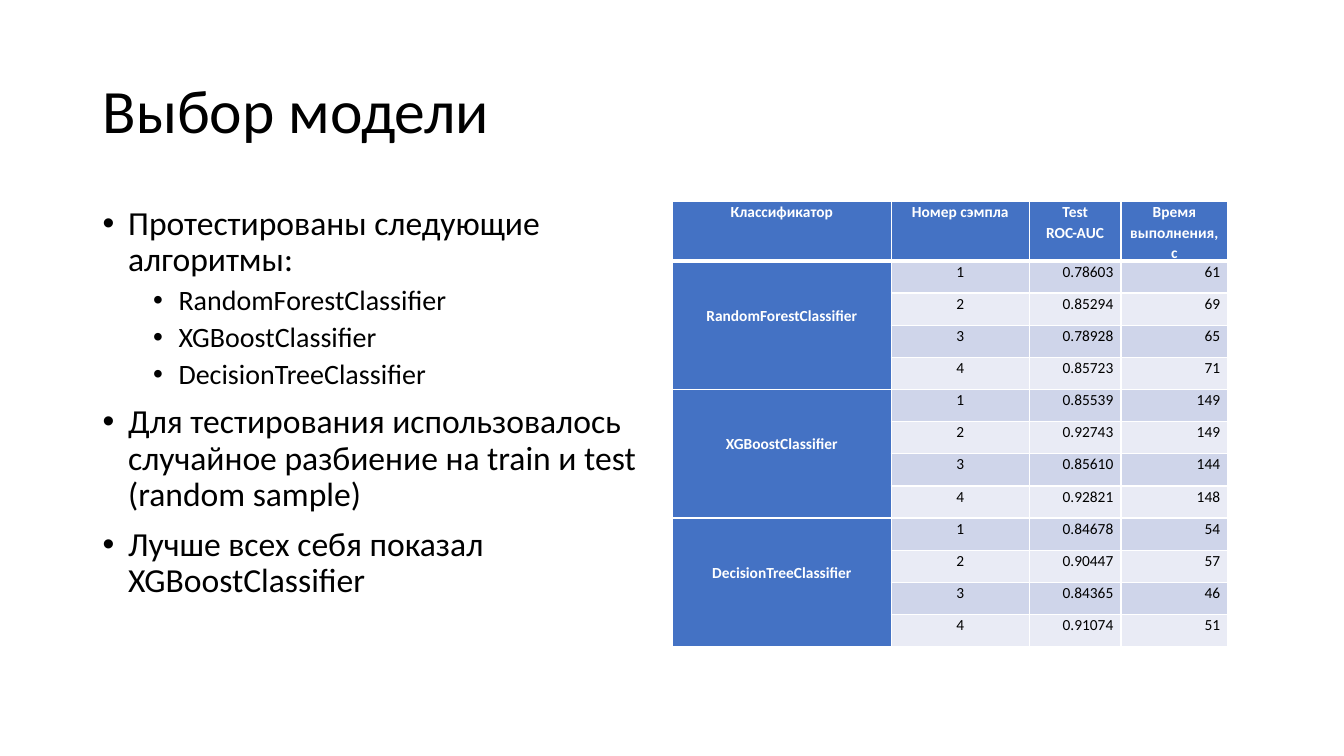
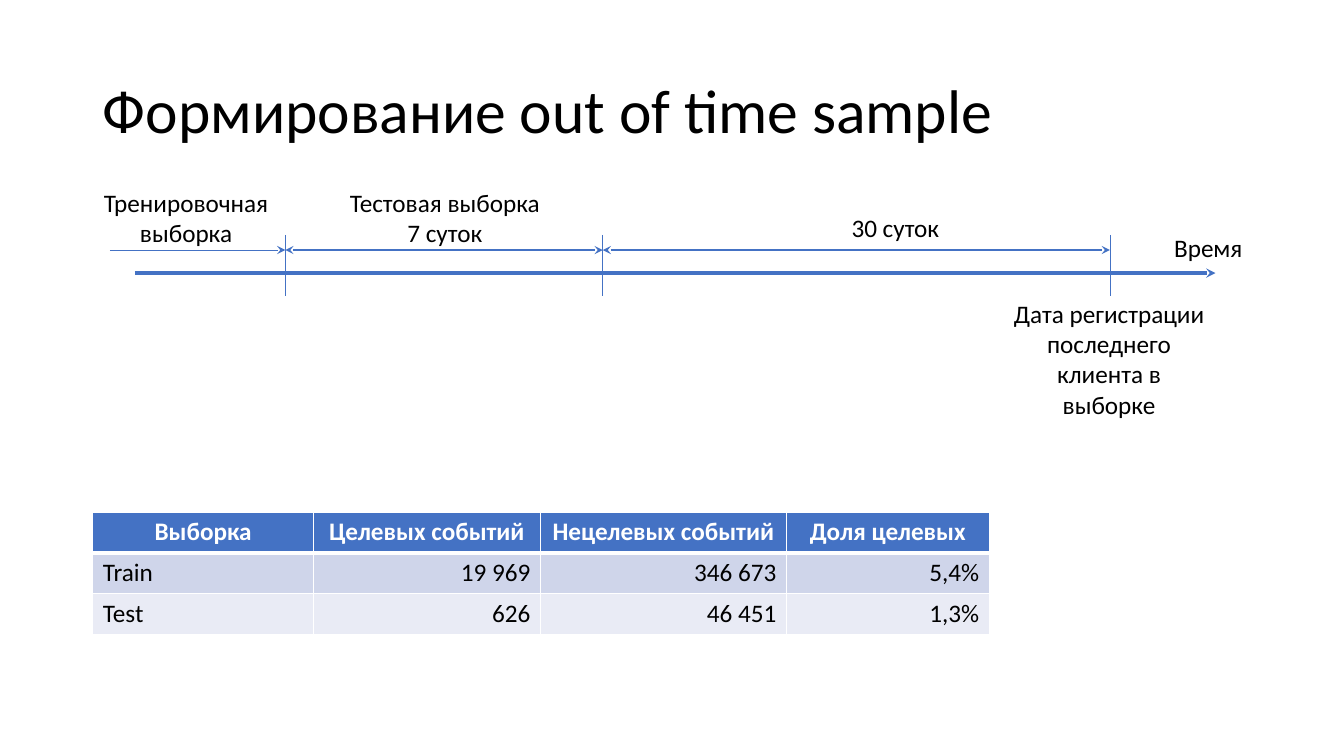
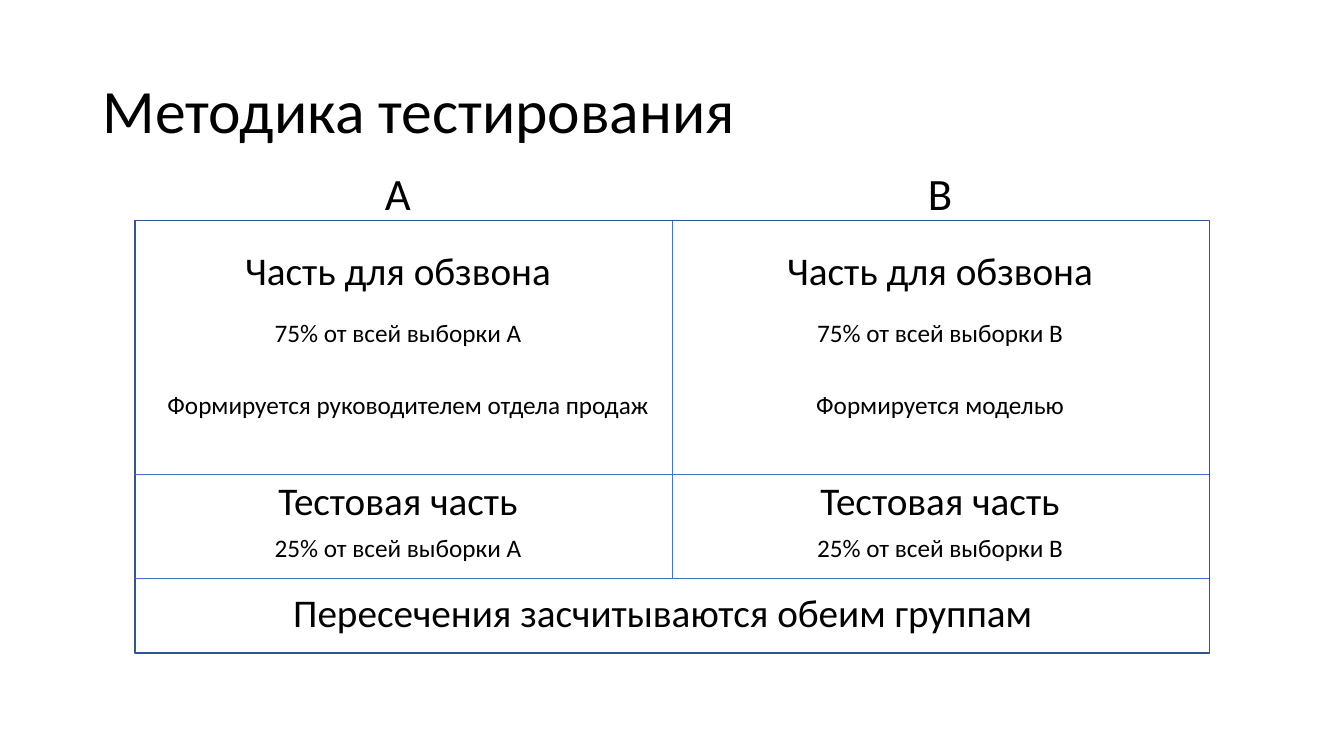
from dataclasses import dataclass

from lxml import etree
from pptx import Presentation
from pptx.dml.color import RGBColor
from pptx.enum.shapes import MSO_CONNECTOR, MSO_SHAPE
from pptx.enum.text import MSO_ANCHOR, PP_ALIGN
from pptx.oxml.ns import qn
from pptx.util import Cm, Pt

LEFT, CENTER, RIGHT = PP_ALIGN.LEFT, PP_ALIGN.CENTER, PP_ALIGN.RIGHT
TOP, MIDDLE = MSO_ANCHOR.TOP, MSO_ANCHOR.MIDDLE
RECTANGLE, STRAIGHT = MSO_SHAPE.RECTANGLE, MSO_CONNECTOR.STRAIGHT


@dataclass(frozen=True)
class Theme:
    font: str = "Calibri"
    text: str = "000000"
    inverse: str = "FFFFFF"
    accent: str = "4472C4"
    frame: str = "325491"
    bands: tuple = ("CFD5EA", "E9EBF5")
    title: int = 44
    letter: int = 32
    heading: int = 28
    bullet: int = 24
    subbullet: int = 20
    label: int = 18
    small: int = 11
    hairline: float = 0.5
    line: float = 1
    axis: float = 2.25
    head_rule: float = 3
    margin: float = 2.34
    tight: float = 0.9


class Builder:
    """Holds the theme and the slide that is being filled."""

    def __init__(self, deck, theme):
        self.deck = deck
        self.theme = theme
        self.page = None

    def new_page(self, title):
        self.page = self.deck.slides.add_slide(self.deck.slide_layouts[6])
        self.text(title, self.theme.margin, 1.02, 29.21, 3.68, self.theme.title,
                  anchor=MIDDLE, spacing=self.theme.tight)

    def span(self, para, text, size, color=None, bold=False):
        span = para.add_run()
        span.text = text
        span.font.name = self.theme.font
        span.font.size = Pt(size)
        span.font.bold = bold
        span.font.color.rgb = RGBColor.from_string(color or self.theme.text)

    def frame(self, left, top, width, height, anchor=TOP):
        """Add an empty wrapping text box and return its text frame."""
        box = self.page.shapes.add_textbox(Cm(left), Cm(top), Cm(width), Cm(height))
        box.text_frame.word_wrap = True
        box.text_frame.vertical_anchor = anchor
        return box.text_frame

    def text(self, text, left, top, width, height, size,
             align=LEFT, anchor=TOP, spacing=None):
        para = self.frame(left, top, width, height, anchor).paragraphs[0]
        para.alignment = align
        para.line_spacing = spacing
        self.span(para, text, size)

    def bullets(self, items, left, top, width, height):
        """Add a bulleted list of (level, text) items."""
        frame = self.frame(left, top, width, height)
        sizes = (self.theme.bullet, self.theme.subbullet)
        for index, (level, text) in enumerate(items):
            para = frame.add_paragraph() if index else frame.paragraphs[0]
            para.level = level
            para.line_spacing = self.theme.tight
            para.space_before = Pt((10, 5)[level])
            props = para._p.get_or_add_pPr()
            props.set("marL", str(Cm((0.64, 1.91)[level])))
            props.set("indent", str(Cm(-0.64)))
            etree.SubElement(props, qn("a:buFont"), typeface="Arial")
            etree.SubElement(props, qn("a:buChar"), char="•")
            self.span(para, text, sizes[level])

    def line(self, start, end, width, head=False, tail=False):
        line = self.page.shapes.add_connector(
            STRAIGHT, Cm(start[0]), Cm(start[1]), Cm(end[0]), Cm(end[1]))
        line.line.color.rgb = RGBColor.from_string(self.theme.accent)
        line.line.width = Pt(width)
        outline = line.line._get_or_add_ln()
        for name, wanted in (("a:headEnd", head), ("a:tailEnd", tail)):
            if wanted:
                etree.SubElement(outline, qn(name), type="stealth")
        etree.SubElement(line._element.spPr, qn("a:effectLst"))

    def rectangle(self, left, top, width, height):
        shape = self.page.shapes.add_shape(
            RECTANGLE, Cm(left), Cm(top), Cm(width), Cm(height))
        shape.shadow.inherit = False
        shape.fill.background()
        shape.line.color.rgb = RGBColor.from_string(self.theme.frame)
        shape.line.width = Pt(self.theme.line)

    def borders(self, cell, top, bottom):
        props = cell._tc.get_or_add_tcPr()
        widths = {"lnL": self.theme.line, "lnR": self.theme.line,
                  "lnT": top, "lnB": bottom}
        for index, (name, width) in enumerate(widths.items()):
            edge = etree.Element(qn(f"a:{name}"), w=str(Pt(width)))
            fill = etree.SubElement(edge, qn("a:solidFill"))
            etree.SubElement(fill, qn("a:srgbClr"), val=self.theme.inverse)
            props.insert(index, edge)

    def table(self, rows, left, top, widths, heights, aligns, size,
              compact=False, group=0):
        """Add a banded table; group merges that many rows in a header column."""
        theme = self.theme
        table = self.page.shapes.add_table(
            len(rows), len(widths), Cm(left), Cm(top),
            Cm(sum(widths)), Cm(sum(heights))).table
        table.first_row = table.horz_banding = False
        for column, width in zip(table.columns, widths):
            column.width = Cm(width)
        for row, height in zip(table.rows, heights):
            row.height = Cm(height)
        for y, row in enumerate(rows):
            for x, text in enumerate(row):
                cell = table.cell(y, x)
                header = y == 0 or (group and x == 0)
                cell.fill.solid()
                cell.fill.fore_color.rgb = RGBColor.from_string(
                    theme.accent if header else theme.bands[(y - 1) % 2])
                self.borders(cell,
                             theme.head_rule if y == 1 else theme.line,
                             theme.head_rule if y == 0 else theme.line)
                if compact:
                    cell.margin_left = cell.margin_right = Cm(0.19)
                    cell.margin_top = cell.margin_bottom = 0
                for index, part in enumerate(text.split("\n") if text else ()):
                    frame = cell.text_frame
                    para = frame.add_paragraph() if index else frame.paragraphs[0]
                    para.alignment = CENTER if header else aligns[x]
                    para.line_spacing = 1.07 if compact else None
                    self.span(para, part, size,
                              theme.inverse if header else theme.text, bool(header))
        if group:
            for y in range(1, len(rows), group):
                cell = table.cell(y, 0)
                cell.merge(table.cell(y + group - 1, 0))
                cell.vertical_anchor = MIDDLE
                cell.margin_bottom = Cm(0.5)


def model_choice(build):
    results = {
        "RandomForestClassifier": (("0.78603", "61"), ("0.85294", "69"),
                                   ("0.78928", "65"), ("0.85723", "71")),
        "XGBoostClassifier": (("0.85539", "149"), ("0.92743", "149"),
                              ("0.85610", "144"), ("0.92821", "148")),
        "DecisionTreeClassifier": (("0.84678", "54"), ("0.90447", "57"),
                                   ("0.84365", "46"), ("0.91074", "51")),
    }
    rows = [("Классификатор", "Номер сэмпла", "Test\nROC-AUC", "Время выполнения, с")]
    for name, samples in results.items():
        for number, (score, seconds) in enumerate(samples, 1):
            rows.append((name if number == 1 else "", str(number), score, seconds))

    build.new_page("Выбор модели")
    build.bullets([
        (0, "Протестированы следующие алгоритмы:"),
        *((1, name) for name in results),
        (0, "Для тестирования использовалось случайное разбиение "
            "на train и test (random sample)"),
        (0, "Лучше всех себя показал XGBoostClassifier"),
    ], build.theme.margin, 5.08, 14.6, 10.92)
    build.table(rows, 16.95, 5.08, (5.51, 3.48, 2.31, 2.69),
                [1.19] + [0.81] * (len(rows) - 1),
                (CENTER, CENTER, RIGHT, RIGHT), build.theme.small,
                compact=True, group=4)


def time_sample(build):
    theme = build.theme
    train_end, test_end, last_date = 7.19, 15.19, 27.97
    span_y, axis_y = 6.3, 6.88

    build.new_page("Формирование out of time sample")
    build.line((3.4, axis_y), (30.63, axis_y), theme.axis, tail=True)
    for x in (train_end, test_end, last_date):
        build.line((x, 5.92), (x, 7.47), theme.hairline)
    for start, end in ((train_end, test_end), (test_end, last_date)):
        build.line((start, span_y), (end, span_y), theme.line, head=True, tail=True)
    build.line((2.77, span_y), (train_end, span_y), theme.hairline, tail=True)

    for text, left, top, width, height, align in (
        ("Тренировочная выборка", theme.margin, 4.6, 4.7, 1.8, CENTER),
        ("Тестовая выборка 7 суток", 8.53, 4.6, 5.36, 1.8, CENTER),
        ("30 суток", 21.21, 5.23, 3, 1.02, LEFT),
        ("Время", 29.34, 5.74, 2.59, 1.02, LEFT),
        ("Дата регистрации последнего клиента в выборке",
         25.17, 7.39, 5.56, 3.33, CENTER),
    ):
        build.text(text, left, top, width, height, theme.label, align)

    build.table([
        ("Выборка", "Целевых событий", "Нецелевых событий", "Доля целевых"),
        ("Train", "19 969", "346 673", "5,4%"),
        ("Test", "626", "46 451", "1,3%"),
    ], theme.margin, 12.9, (5.56, 5.72, 6.2, 5.11), [1.03] * 3,
        (LEFT, RIGHT, RIGHT, RIGHT), theme.label)


def test_method(build):
    theme = build.theme
    left, top, width, height = 3.4, 5.56, 27.08, 10.9
    test_y, overlap_y = 11.96, 14.58
    middle, right = left + width / 2, left + width

    build.new_page("Методика тестирования")
    build.rectangle(left, top, width, height)
    build.line((middle, top), (middle, overlap_y), theme.hairline)
    for y in (test_y, overlap_y):
        build.line((left, y), (right, y), theme.hairline)

    text_width = 13
    groups = (
        ("A", 10.03, "Формируется руководителем отдела продаж", 10.28),
        ("B", 23.69, "Формируется моделью", 23.69),
    )
    for group, center, source, source_center in groups:
        for text, y, size, text_center in (
            (group, 4.06, theme.letter, center),
            ("Часть для обзвона", 6.09, theme.heading, center),
            (f"75% от всей выборки {group}", 7.87, theme.label, center),
            (source, 9.68, theme.label, source_center),
            ("Тестовая часть", 11.89, theme.heading, center),
            (f"25% от всей выборки {group}", 13.29, theme.label, center),
        ):
            build.text(text, text_center - text_width / 2, y, text_width,
                       size * 0.05, size, CENTER)
    build.text("Пересечения засчитываются обеим группам", 7.14, 14.83, 19.61, 1.6,
               theme.heading, spacing=theme.tight)


def main():
    deck = Presentation()
    deck.slide_width, deck.slide_height = Cm(33.87), Cm(19.05)
    build = Builder(deck, Theme())
    model_choice(build)
    time_sample(build)
    test_method(build)
    deck.save("out.pptx")


if __name__ == "__main__":
    main()
